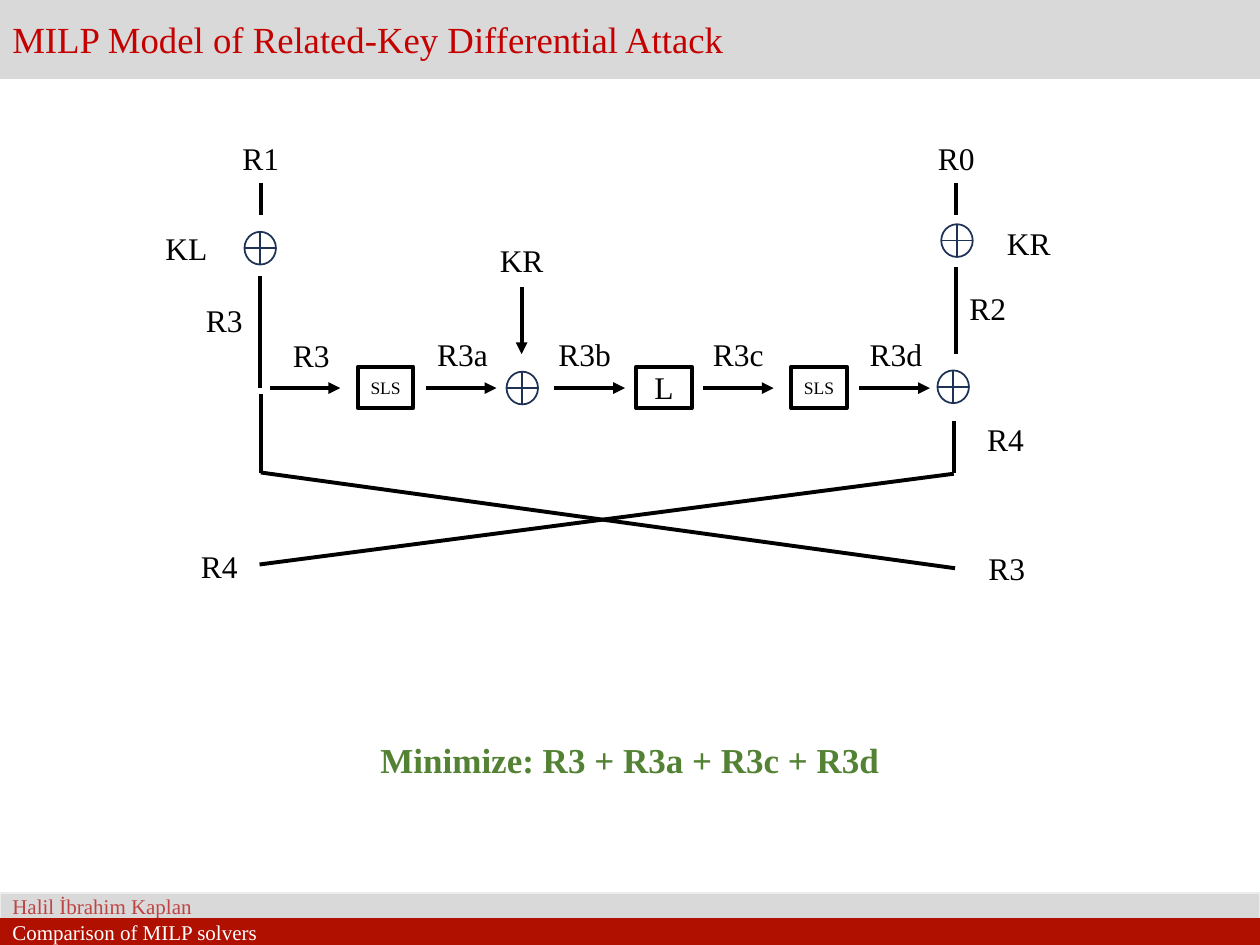
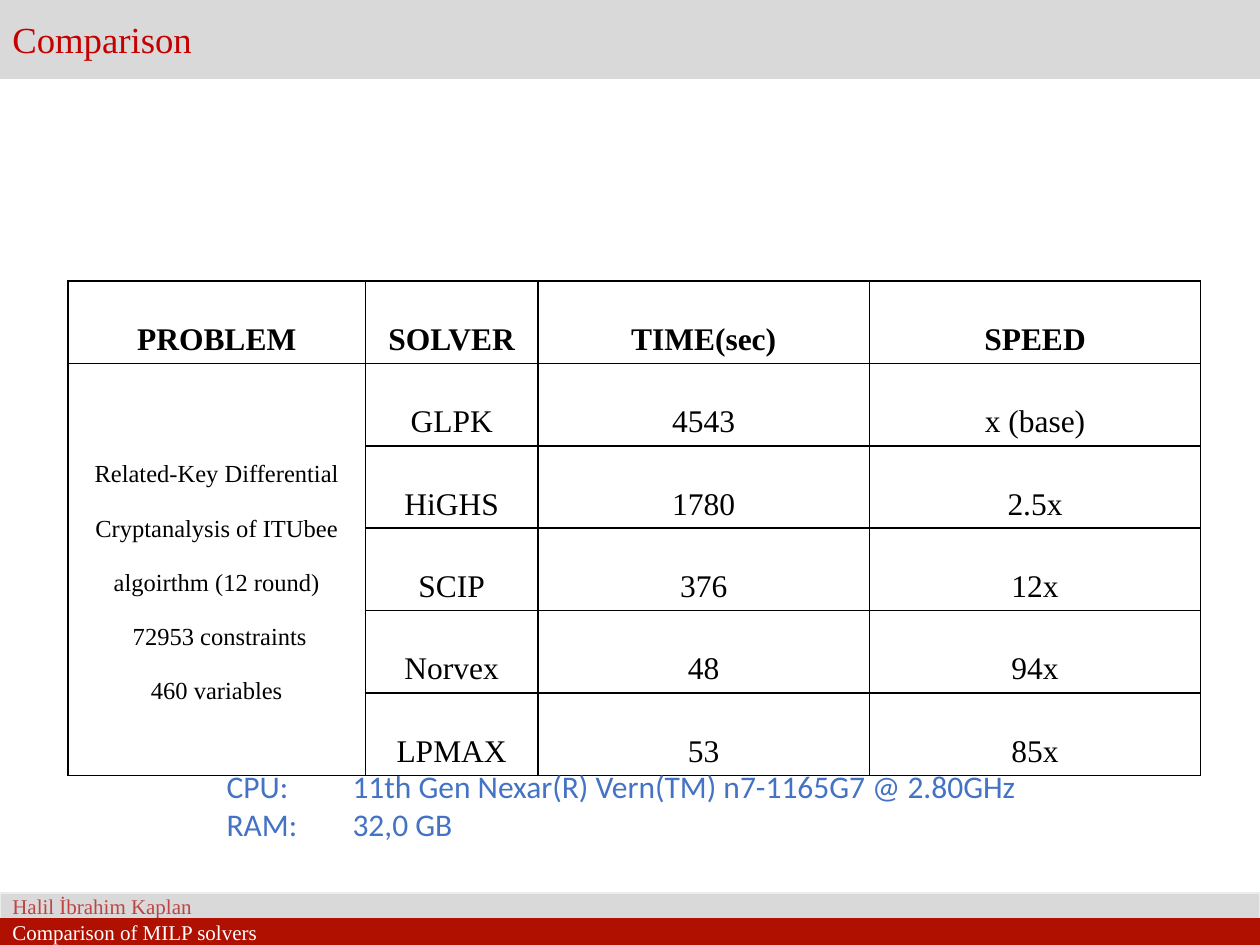
from pptx import Presentation
from pptx.dml.color import RGBColor
from pptx.enum.shapes import MSO_CONNECTOR, MSO_SHAPE
from pptx.enum.text import MSO_ANCHOR, PP_ALIGN
from pptx.oxml.ns import qn
from pptx.util import Inches, Pt
from lxml.etree import SubElement

BLACK = RGBColor(0x00, 0x00, 0x00)
WHITE = RGBColor(0xFF, 0xFF, 0xFF)
GRAY = RGBColor(0xD9, 0xD9, 0xD9)
PALE = RGBColor(0xEC, 0xEC, 0xEC)
RED = RGBColor(0xC5, 0x00, 0x00)
ROSE = RGBColor(0xBE, 0x43, 0x43)
BRICK = RGBColor(0xB0, 0x10, 0x00)
NAVY = RGBColor(0x1E, 0x32, 0x56)
GREEN = RGBColor(0x54, 0x82, 0x35)
BLUE = RGBColor(0x44, 0x72, 0xC4)
SERIF = "Times New Roman"


def write(tf, lines, size, color=BLACK, align=PP_ALIGN.CENTER, inset=0.1,
          bold=False, font=SERIF, spacing=None):
    """Fill a text frame with one paragraph per line."""
    tf.word_wrap = True
    tf.vertical_anchor = MSO_ANCHOR.MIDDLE
    tf.margin_left = tf.margin_right = Inches(inset)
    for i, line in enumerate(lines):
        p = tf.paragraphs[0] if i == 0 else tf.add_paragraph()
        p.alignment = align
        p.line_spacing = spacing
        r = p.add_run()
        r.text = line
        for name, value in dict(size=Pt(size), name=font, bold=bold).items():
            setattr(r.font, name, value)
        r.font.color.rgb = color


def add_box(s, kind, at, fill, line, width):
    """Add a preset shape with a plain fill and outline."""
    sp = s.shapes.add_shape(kind, *map(Inches, at))
    sp.shadow.inherit = False
    sp.fill.solid()
    sp.fill.fore_color.rgb = fill
    sp.line.color.rgb = line
    sp.line.width = Pt(width)
    return sp


prs = Presentation()
prs.slide_width, prs.slide_height = Inches(10), Inches(7.5)

# Title band and footers on every slide
slides = []
for title in ("MILP Model of Related-Key Differential Attack", "Comparison"):
    s = prs.slides.add_slide(prs.slide_layouts[6])
    slides.append(s)
    for top, height, fill, line, text, size, color in (
        (0, 0.62, GRAY, GRAY, title, 21, RED),
        (7.09, 0.2, GRAY, PALE, "Halil İbrahim Kaplan", 12, ROSE),
        (7.29, 0.21, BRICK, BRICK, "Comparison of MILP solvers", 12, WHITE),
    ):
        sp = add_box(s, MSO_SHAPE.RECTANGLE, (0, top, 10, height), fill, line, 1)
        write(sp.text_frame, [text], size, color, PP_ALIGN.LEFT)
model, comparison = slides

# Feistel round: lines, then arrows along the middle row and down from the key
ROW_Y = 3.08
wires = [
    (2.07, 1.45, 2.07, 1.71), (2.06, 2.19, 2.06, ROW_Y), (2.07, 3.13, 2.07, 3.75),
    (7.59, 1.45, 7.59, 1.71), (7.59, 2.12, 7.59, 2.81), (7.57, 3.34, 7.57, 3.75),
    (7.57, 3.76, 2.06, 4.48), (7.58, 4.51, 2.07, 3.75),
]
arrows = [(x, ROW_Y, x + 0.56, ROW_Y) for x in (2.14, 3.38, 4.4, 5.58, 6.82)]
arrows.append((4.14, 2.28, 4.14, 2.81))
for ends in wires + arrows:
    cn = model.shapes.add_connector(MSO_CONNECTOR.STRAIGHT, *map(Inches, ends))
    cn.line.color.rgb = BLACK
    cn.line.width = Pt(2.25)
    if ends in arrows:
        SubElement(cn.line._get_or_add_ln(), qn("a:tailEnd"), type="triangle")
    SubElement(cn._element.spPr, qn("a:effectLst"))

# XOR nodes
for x, y in ((1.94, 1.84), (4.02, 2.95), (7.47, 1.78), (7.44, 2.94)):
    add_box(model, MSO_SHAPE.FLOWCHART_OR, (x, y, 0.25, 0.26), WHITE, NAVY, 1)

# Function boxes
for x, text, size in ((2.84, "SLS", 10), (5.05, "L", 18), (6.28, "SLS", 10)):
    sp = add_box(model, MSO_SHAPE.RECTANGLE, (x, 2.91, 0.44, 0.33), WHITE, BLACK, 2.25)
    write(sp.text_frame, [text], size, inset=0)

# Word labels: text, left, top, width
for text, x, y, w in (
    ("R1", 1.8, 1.05, 0.54), ("KL", 1.21, 1.77, 0.54), ("R3", 1.51, 2.34, 0.54),
    ("R3", 2.2, 2.62, 0.54), ("R3a", 3.31, 2.61, 0.72), ("KR", 3.78, 1.86, 0.72),
    ("R3b", 4.28, 2.61, 0.72), ("R3c", 5.5, 2.61, 0.72), ("R3d", 6.75, 2.61, 0.72),
    ("R0", 7.32, 1.05, 0.54), ("KR", 7.86, 1.73, 0.61), ("R2", 7.57, 2.24, 0.54),
    ("R4", 7.71, 3.28, 0.54), ("R3", 7.72, 4.31, 0.54), ("R4", 1.47, 4.29, 0.54),
):
    sp = model.shapes.add_textbox(*map(Inches, (x, y, w, 0.4)))
    write(sp.text_frame, [text], 18, inset=0)

# Objective
sp = model.shapes.add_textbox(*map(Inches, (0, 5.81, 10, 0.44)))
write(sp.text_frame, ["Minimize: R3 + R3a + R3c + R3d"], 20, GREEN, bold=True)

# Solver table
rows = [
    ("PROBLEM", "SOLVER", "TIME(sec)", "SPEED"),
    ("", "GLPK", "4543", "x (base)"),
    ("", "HiGHS", "1780", "2.5x"),
    ("", "SCIP", "376", "12x"),
    ("", "Norvex", "48", "94x"),
    ("", "LPMAX", "53", "85x"),
]
problem = [
    "Related-Key Differential Cryptanalysis of ITUbee algoirthm (12 round)",
    " 72953 constraints",
    "460 variables",
]
tbl = comparison.shapes.add_table(
    len(rows), 4, *map(Inches, (0.54, 2.23, 8.99, 3.9))).table
tbl.first_row = tbl.horz_banding = False
for col, width in zip(tbl.columns, (2.36, 1.37, 2.63, 2.63)):
    col.width = Inches(width)
for i, row in enumerate(rows):
    tbl.rows[i].height = Inches(0.65)
    for j, text in enumerate(row):
        cell = tbl.cell(i, j)
        tcPr = cell._tc.get_or_add_tcPr()
        for side in ("a:lnL", "a:lnR", "a:lnT", "a:lnB"):
            ln = SubElement(tcPr, qn(side), w=str(Pt(1)))
            SubElement(SubElement(ln, qn("a:solidFill")), qn("a:srgbClr"), val=str(BLACK))
        cell.fill.solid()
        cell.fill.fore_color.rgb = WHITE
        cell.vertical_anchor = MSO_ANCHOR.MIDDLE
        if text:
            write(cell.text_frame, [text], 18, bold=i == 0, spacing=2.0)
            cell.vertical_anchor = MSO_ANCHOR.MIDDLE
tbl.cell(1, 0).merge(tbl.cell(5, 0))
write(tbl.cell(1, 0).text_frame, problem, 14, spacing=2.0)

# Test machine, values aligned at a tab stop
sp = comparison.shapes.add_textbox(*map(Inches, (1.7, 6.03, 6.67, 0.71)))
machine = ["CPU:\t11th Gen Nexar(R) Vern(TM) n7-1165G7 @ 2.80GHz", "RAM:\t32,0 GB"]
write(sp.text_frame, machine, 18, BLUE, PP_ALIGN.LEFT, font="Calibri")
for p in sp.text_frame.paragraphs:
    tabs = SubElement(p._p.get_or_add_pPr(), qn("a:tabLst"))
    SubElement(tabs, qn("a:tab"), pos=str(Inches(1)), algn="l")

prs.save("out.pptx")
